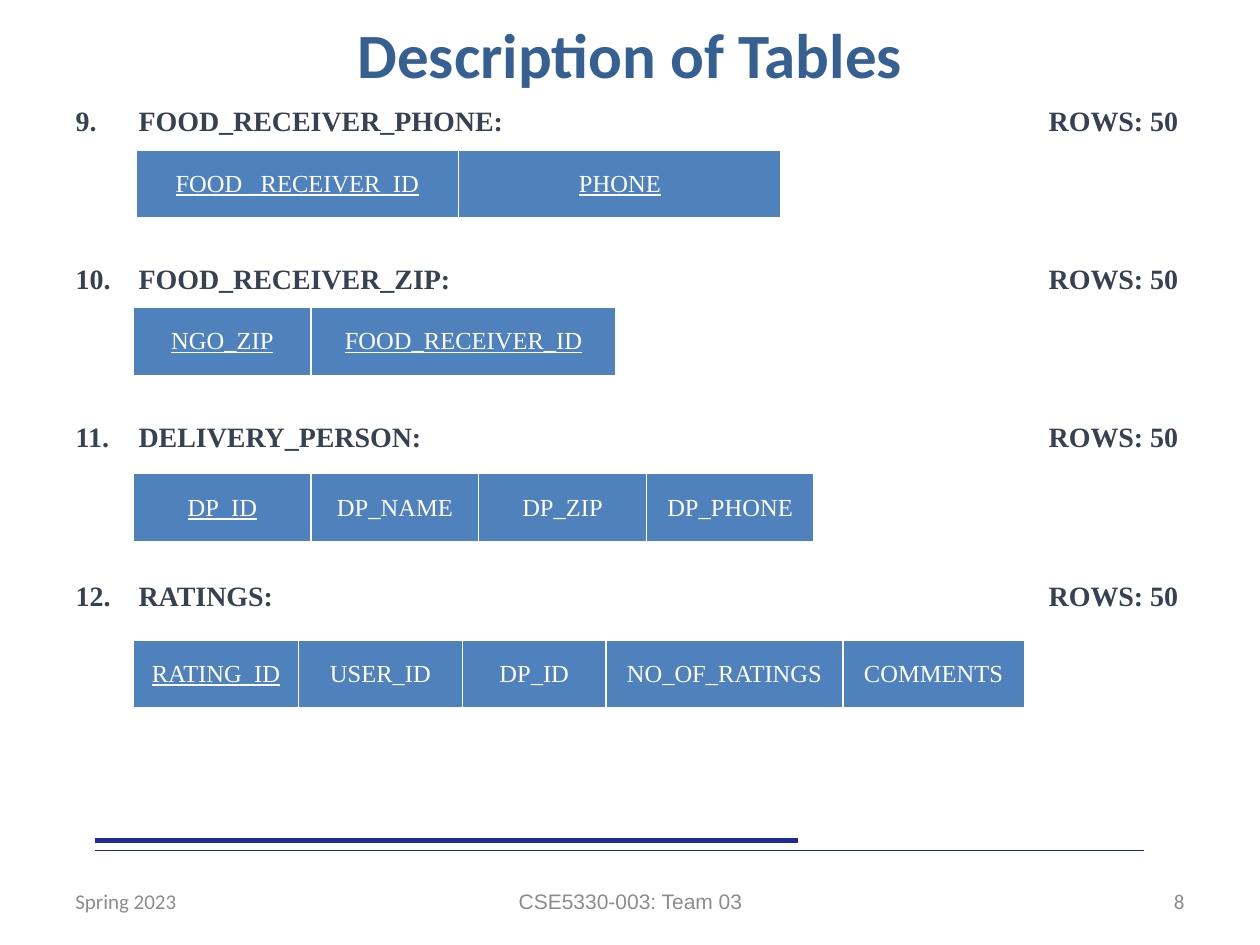
from dataclasses import dataclass
from typing import NamedTuple

from lxml.etree import SubElement
from pptx import Presentation
from pptx.dml.color import RGBColor
from pptx.enum.shapes import MSO_CONNECTOR
from pptx.enum.text import MSO_ANCHOR, MSO_AUTO_SIZE, PP_ALIGN
from pptx.oxml.ns import qn
from pptx.util import Inches, Pt


@dataclass(frozen=True)
class Theme:
    title: RGBColor = RGBColor(0x37, 0x60, 0x92)
    heading: RGBColor = RGBColor(0x37, 0x41, 0x51)
    cell: RGBColor = RGBColor(0x4F, 0x81, 0xBD)
    cell_text: RGBColor = RGBColor(0xFF, 0xFF, 0xFF)
    footer: RGBColor = RGBColor(0x8C, 0x8C, 0x8C)
    rule: RGBColor = RGBColor(0x20, 0x29, 0x98)
    sans: str = "Calibri"
    footer_sans: str = "Arial"
    serif: str = "Times New Roman"
    title_size: int = 36
    heading_size: int = 16
    cell_size: int = 14
    footer_size: int = 12


class Column(NamedTuple):
    name: str
    width: float
    key: bool = False


class Relation(NamedTuple):
    name: str
    rows: int
    left: float
    top: float
    columns: list[Column]


class Footer(NamedTuple):
    text: str
    left: float
    width: float
    align: PP_ALIGN
    font: str


THEME = Theme()
FIRST_NUMBER = 9
ROW_HEIGHT = 0.54
BODY_TOP, BODY_HEIGHT = 0.77, 5.84
HEADING_GAP = 71.3

RELATIONS = [
    Relation("FOOD_RECEIVER_PHONE:", 50, 1.08, 1.19, [
        Column("FOOD _RECEIVER_ID", 2.56, True), Column("PHONE", 2.56, True)]),
    Relation("FOOD_RECEIVER_ZIP:", 50, 1.06, 2.44, [
        Column("NGO_ZIP", 1.41, True), Column("FOOD_RECEIVER_ID", 2.42, True)]),
    Relation("DELIVERY_PERSON:", 50, 1.06, 3.76, [
        Column("DP_ID", 1.41, True), Column("DP_NAME", 1.33),
        Column("DP_ZIP", 1.33), Column("DP_PHONE", 1.33)]),
    Relation("RATINGS:", 50, 1.06, 5.08, [
        Column("RATING_ID", 1.31, True), Column("USER_ID", 1.3),
        Column("DP_ID", 1.14), Column("NO_OF_RATINGS", 1.88),
        Column("COMMENTS", 1.44)]),
]

FOOTERS = [
    Footer("Spring 2023", 0.5, 2.33, PP_ALIGN.LEFT, THEME.sans),
    Footer("CSE5330-003: Team 03", 3.42, 3.17, PP_ALIGN.CENTER, THEME.footer_sans),
    Footer("8", 7.17, 2.33, PP_ALIGN.RIGHT, THEME.sans),
]


def style(paragraph, font: str, size: int, color: RGBColor,
          align: PP_ALIGN, bold: bool = False) -> None:
    paragraph.alignment = align
    paragraph.font.name = font
    paragraph.font.size = Pt(size)
    paragraph.font.bold = bold
    paragraph.font.color.rgb = color


def place(shape, left: float, top: float, width: float, height: float) -> None:
    shape.left, shape.top = Inches(left), Inches(top)
    shape.width, shape.height = Inches(width), Inches(height)


def fill_headings(frame, lines: list[str], align: PP_ALIGN) -> None:
    """Write one line per relation, at the pitch of the list."""
    frame.word_wrap = True
    frame.auto_size = MSO_AUTO_SIZE.NONE
    frame.text = "\n".join(lines)
    for index, paragraph in enumerate(frame.paragraphs):
        style(paragraph, THEME.serif, THEME.heading_size, THEME.heading, align, True)
        paragraph.space_before = Pt(HEADING_GAP if index else 0)


def number(paragraph, start: int) -> None:
    properties = paragraph._p.get_or_add_pPr()
    properties.set("marL", str(Inches(0.5)))
    properties.set("indent", str(-Inches(0.5)))
    SubElement(properties, qn("a:buFont"), typeface="+mj-lt")
    SubElement(properties, qn("a:buAutoNum"), type="arabicPeriod", startAt=str(start))
    defaults = properties.find(qn("a:defRPr"))
    if defaults is not None:
        properties.append(defaults)  # the schema wants it after the bullet


def add_relation(slide, relation: Relation) -> None:
    width = sum(column.width for column in relation.columns)
    table = slide.shapes.add_table(
        1, len(relation.columns), Inches(relation.left), Inches(relation.top),
        Inches(width), Inches(ROW_HEIGHT)).table
    for index, column in enumerate(relation.columns):
        table.columns[index].width = Inches(column.width)
        cell = table.cell(0, index)
        cell.fill.solid()
        cell.fill.fore_color.rgb = THEME.cell
        cell.vertical_anchor = MSO_ANCHOR.MIDDLE
        cell.text = column.name
        paragraph = cell.text_frame.paragraphs[0]
        style(paragraph, THEME.serif, THEME.cell_size, THEME.cell_text, PP_ALIGN.CENTER)
        paragraph.font.underline = column.key


def add_rule(slide, right: float, y: float, weight: float) -> None:
    rule = slide.shapes.add_connector(
        MSO_CONNECTOR.STRAIGHT, Inches(0.75), Inches(y), Inches(right), Inches(y))
    rule.line.color.rgb = THEME.rule
    rule.line.width = Pt(weight)
    SubElement(rule._element.spPr, qn("a:effectLst"))


def add_footer(slide, footer: Footer) -> None:
    frame = slide.shapes.add_textbox(
        Inches(footer.left), Inches(6.95), Inches(footer.width), Inches(0.4)).text_frame
    frame.word_wrap = True
    frame.vertical_anchor = MSO_ANCHOR.MIDDLE
    frame.text = footer.text
    style(frame.paragraphs[0], footer.font, THEME.footer_size, THEME.footer, footer.align)


def main() -> None:
    presentation = Presentation()
    presentation.slide_width, presentation.slide_height = Inches(10), Inches(7.5)
    slide = presentation.slides.add_slide(presentation.slide_layouts[1])

    add_rule(slide, 9.08, 6.75, 0.75)
    add_rule(slide, 6.33, 6.67, 3)

    title = slide.shapes.title
    place(title, 0.5, 0.15, 9, 0.54)
    title.text_frame.text = "Description of Tables"
    title.text_frame.auto_size = MSO_AUTO_SIZE.NONE
    title.text_frame.vertical_anchor = MSO_ANCHOR.MIDDLE
    style(title.text_frame.paragraphs[0], THEME.sans, THEME.title_size,
          THEME.title, PP_ALIGN.CENTER, True)

    names = slide.placeholders[1]
    place(names, 0.5, BODY_TOP, 7, BODY_HEIGHT)
    fill_headings(names.text_frame, [relation.name for relation in RELATIONS],
                  PP_ALIGN.LEFT)
    for paragraph in names.text_frame.paragraphs:
        number(paragraph, FIRST_NUMBER)

    counts = slide.shapes.add_textbox(
        Inches(7.5), Inches(BODY_TOP), Inches(1.95), Inches(BODY_HEIGHT))
    fill_headings(counts.text_frame, [f"ROWS: {relation.rows}" for relation in RELATIONS],
                  PP_ALIGN.RIGHT)

    for relation in RELATIONS:
        add_relation(slide, relation)
    for footer in FOOTERS:
        add_footer(slide, footer)
    presentation.save("out.pptx")


if __name__ == "__main__":
    main()
